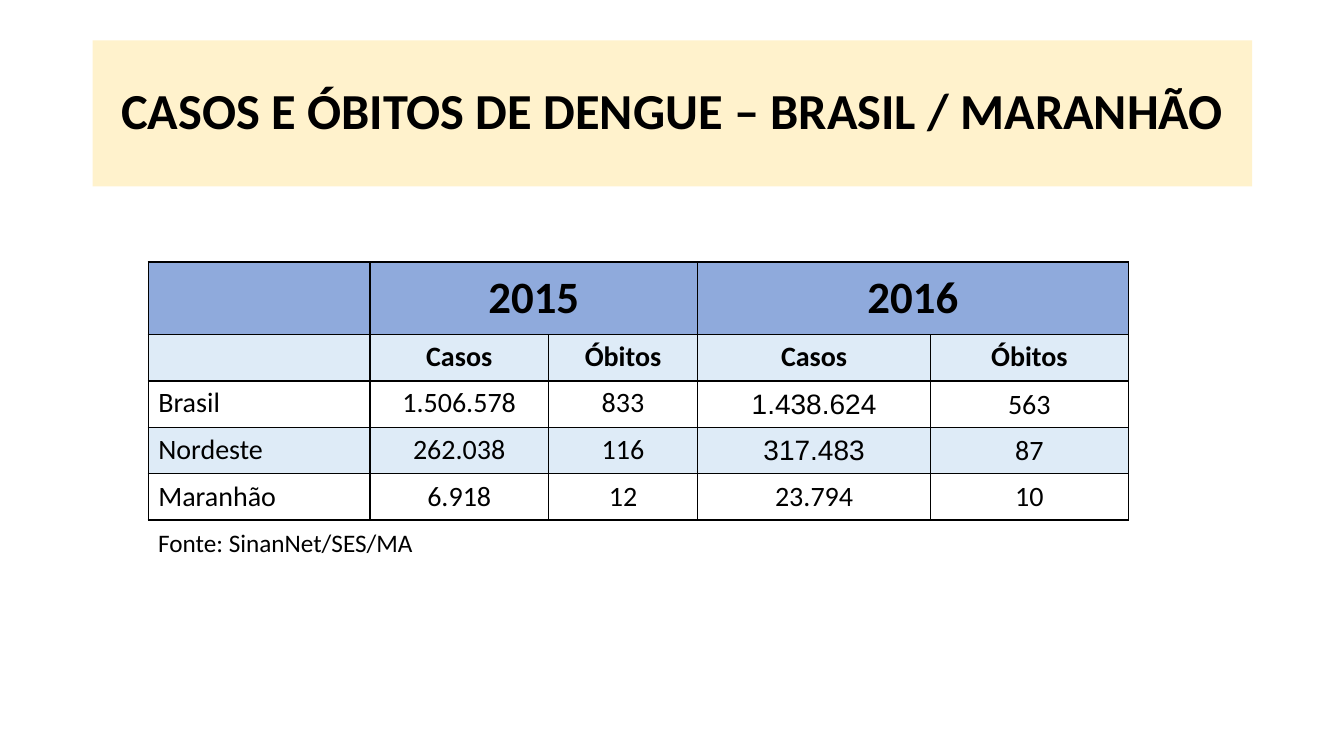
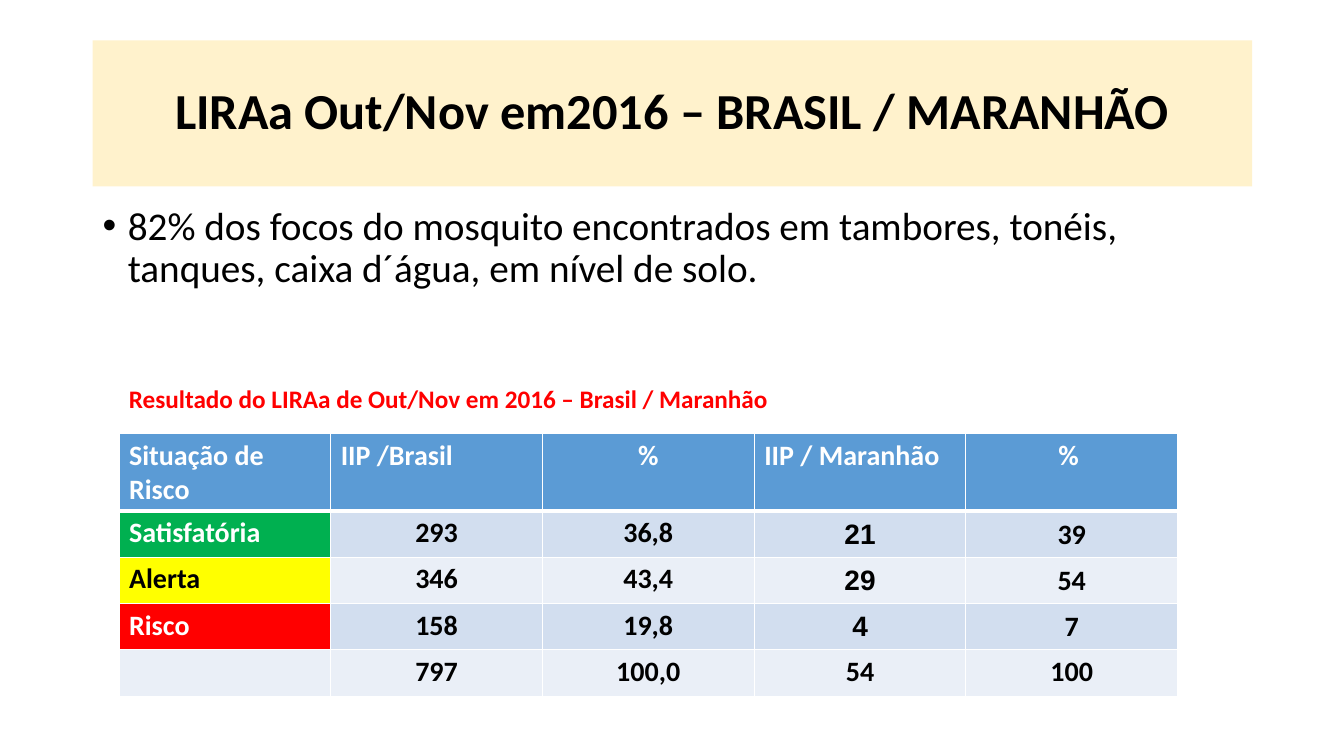
"""Build two slides on dengue cases and the LIRAa survey in Brasil and Maranhão."""
import dataclasses

import pptx
import pptx.dml.color
import pptx.enum.shapes
import pptx.enum.text
import pptx.oxml
import pptx.oxml.ns
import pptx.util

Inches = pptx.util.Inches
Pt = pptx.util.Pt
ALIGN = pptx.enum.text.PP_ALIGN
ANCHOR = pptx.enum.text.MSO_ANCHOR


@dataclasses.dataclass(frozen=True)
class Theme:
    font: str = "Calibri"
    figure_font: str = "Arial"
    black: str = "000000"
    white: str = "FFFFFF"
    red: str = "FF0000"
    green: str = "00B050"
    yellow: str = "FFFF00"
    cream: str = "FFF2CC"
    periwinkle: str = "8FAADC"
    blue: str = "5B9BD5"
    ice: str = "DEEBF7"
    band_dark: str = "D2DEEF"
    band_light: str = "EAEFF7"
    title_size: int = 36
    year_size: int = 32
    body_size: int = 28
    cell_size: int = 20
    caption_size: int = 18


THEME = Theme()
TITLE_BOX = (0.92, 0.4, 11.5, 1.45)
ROW_HEIGHTS = (0.72, 0.46, 0.46, 0.46, 0.46)

SLIDES = [
    {
        "title": "CASOS E ÓBITOS DE DENGUE – BRASIL / MARANHÃO",
        "table": {
            "position": (1.47, 2.6),
            "columns": (2.2, 1.77, 1.48, 2.31, 1.96),
            "border": THEME.black,
            "header_line": 1,
            "rows": [
                ("", "2015", "", "2016", ""),
                ("", "Casos", "Óbitos", "Casos", "Óbitos"),
                ("Brasil", "1.506.578", "833", "1.438.624", "563"),
                ("Nordeste", "262.038", "116", "317.483", "87"),
                ("Maranhão", "6.918", "12", "23.794", "10"),
            ],
            "fills": (THEME.periwinkle, THEME.ice, None, THEME.ice, None),
            "label_styles": {},
            "header_size": THEME.year_size,
            "header_colour": THEME.black,
            "bold_rows": (0, 1),
            "middle_rows": (0, 4),
            "tight_rows": (2, 3),
            "left_headers": (),
            "spans": [(1, 2), (3, 4)],
        },
        "caption": ("Fonte: SinanNet/SES/MA", (1.47, 5.18, 2.81, 0.4), THEME.black, False),
    },
    {
        "title": "LIRAa Out/Nov em2016 – BRASIL / MARANHÃO",
        "bullet": "82% dos focos do mosquito encontrados em tambores, tonéis, "
                  "tanques, caixa d´água, em nível de solo.",
        "table": {
            "position": (1.18, 4.3),
            "columns": (2.1,) * 5,
            "border": THEME.white,
            "header_line": 3,
            "rows": [
                ("Situação de Risco", "IIP /Brasil", "%", "IIP / Maranhão", "% "),
                ("Satisfatória", "293", "36,8", "21", "39"),
                ("Alerta", "346", "43,4", "29", "54"),
                ("Risco", "158", "19,8", "4", "7"),
                ("", "797", "100,0", "54", "100"),
            ],
            "fills": (THEME.blue, THEME.band_dark, THEME.band_light,
                      THEME.band_dark, THEME.band_light),
            "label_styles": {
                1: (THEME.green, THEME.white),
                2: (THEME.yellow, THEME.black),
                3: (THEME.red, THEME.white),
            },
            "header_size": THEME.cell_size,
            "header_colour": THEME.white,
            "bold_rows": range(5),
            "middle_rows": (),
            "tight_rows": (1, 2, 3),
            "left_headers": (1, 3),
            "spans": [],
        },
        "caption": ("Resultado do LIRAa de Out/Nov em 2016 – Brasil / Maranhão",
                    (1.18, 3.75, 6.6, 0.4), THEME.red, True),
    },
]


def apply(target, values):
    for name, value in values.items():
        setattr(target, name, value)


def rgb(colour):
    return pptx.dml.color.RGBColor.from_string(colour)


def paint(fill, colour):
    if colour is None:
        fill.background()
    else:
        fill.solid()
        fill.fore_color.rgb = rgb(colour)


def write(frame, text, size, colour, bold=False, font=THEME.font, **paragraph_format):
    paragraph = frame.paragraphs[0]
    apply(paragraph, paragraph_format)
    run = paragraph.add_run()
    run.text = text
    apply(run.font, {"name": font, "size": Pt(size), "bold": bold})
    run.font.color.rgb = rgb(colour)
    return paragraph


def add_title(slide, text):
    band = slide.shapes.add_shape(pptx.enum.shapes.MSO_SHAPE.RECTANGLE,
                                  *map(Inches, TITLE_BOX))
    band.shadow.inherit = False
    paint(band.fill, THEME.cream)
    band.line.fill.background()
    apply(band.text_frame, {"word_wrap": True, "vertical_anchor": ANCHOR.MIDDLE})
    write(band.text_frame, text, THEME.title_size, THEME.black, True,
          alignment=ALIGN.CENTER, line_spacing=0.9)


def add_bullet(slide, text):
    box = slide.shapes.add_textbox(*map(Inches, (0.92, 2, 11.5, 1.6)))
    box.text_frame.word_wrap = True
    paragraph = write(box.text_frame, text, THEME.body_size, THEME.black,
                      line_spacing=0.9, space_before=Pt(10))
    properties = paragraph._p.get_or_add_pPr()
    properties.set("marL", str(Inches(0.25)))
    properties.set("indent", str(Inches(-0.25)))
    namespace = pptx.oxml.ns.nsdecls("a")
    for element in ('buFont {} typeface="Arial"', 'buChar {} char="•"'):
        properties.append(pptx.oxml.parse_xml(f"<a:{element.format(namespace)}/>"))


def add_caption(slide, text, place, colour, bold):
    box = slide.shapes.add_textbox(*map(Inches, place))
    box.text_frame.word_wrap = False
    write(box.text_frame, text, THEME.caption_size, colour, bold)


def set_borders(cell, colour, widths):
    properties = cell._tc.get_or_add_tcPr()
    namespace = pptx.oxml.ns.nsdecls("a")
    for side, width in widths.items():
        properties.append(pptx.oxml.parse_xml(
            f'<a:ln{side} {namespace} w="{Pt(width)}"><a:solidFill>'
            f'<a:srgbClr val="{colour}"/></a:solidFill></a:ln{side}>'))


def format_cell(cell, text, row, column, data):
    line = data["header_line"]
    set_borders(cell, data["border"], {
        "L": 1, "R": 1, "T": line if row == 1 else 1, "B": line if row == 0 else 1})
    fill, colour = data["fills"][row], THEME.black
    if row == 0:
        colour = data["header_colour"]
    elif column == 0:
        fill, colour = data["label_styles"].get(row, (fill, colour))
    paint(cell.fill, fill)

    tight = row in data["tight_rows"] and column >= 3
    if tight:
        margin = Inches(0.01)
        apply(cell, {"margin_left": margin, "margin_top": margin,
                     "margin_right": margin, "margin_bottom": 0})
    middle = tight or row in data["middle_rows"]
    cell.vertical_anchor = ANCHOR.MIDDLE if middle else ANCHOR.TOP
    if text:
        left = column == 0 or (row == 0 and column in data["left_headers"])
        write(cell.text_frame, text,
              data["header_size"] if row == 0 else THEME.cell_size,
              colour, row in data["bold_rows"],
              THEME.figure_font if tight and column == 3 else THEME.font,
              alignment=ALIGN.LEFT if left else ALIGN.CENTER)


def add_data_table(slide, data):
    size = (sum(data["columns"]), sum(ROW_HEIGHTS))
    table = slide.shapes.add_table(len(data["rows"]), len(data["columns"]),
                                   *map(Inches, data["position"] + size)).table
    apply(table, {"first_row": False, "horz_banding": False})
    for column, width in zip(table.columns, data["columns"]):
        column.width = Inches(width)
    for row, height in zip(table.rows, ROW_HEIGHTS):
        row.height = Inches(height)
    for first, last in data["spans"]:
        table.cell(0, first).merge(table.cell(0, last))
    for row, values in enumerate(data["rows"]):
        for column, text in enumerate(values):
            format_cell(table.cell(row, column), text, row, column, data)


def main():
    presentation = pptx.Presentation()
    apply(presentation, {"slide_width": Inches(13.33), "slide_height": Inches(7.5)})
    for content in SLIDES:
        slide = presentation.slides.add_slide(presentation.slide_layouts[6])
        add_title(slide, content["title"])
        if "bullet" in content:
            add_bullet(slide, content["bullet"])
        add_data_table(slide, content["table"])
        add_caption(slide, *content["caption"])
    presentation.save("out.pptx")


if __name__ == "__main__":
    main()
